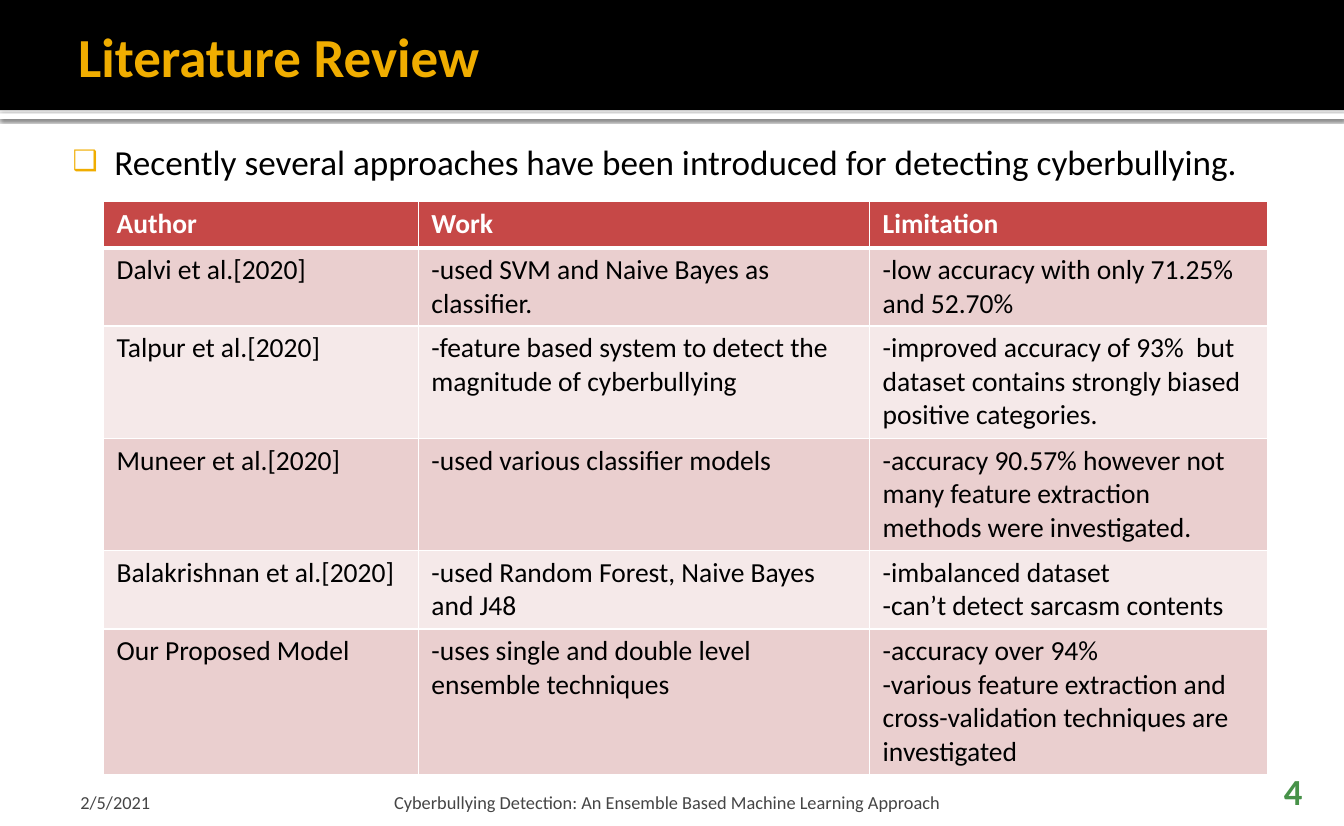
from pptx import Presentation
from pptx.dml.color import RGBColor
from pptx.enum.shapes import MSO_SHAPE as Shape
from pptx.enum.text import MSO_ANCHOR as Anchor, MSO_AUTO_SIZE as AutoSize, PP_ALIGN as Align
from pptx.oxml import parse_xml
from pptx.oxml.ns import nsdecls
from pptx.util import Inches, Pt

BLACK = RGBColor(0x00, 0x00, 0x00)
WHITE = RGBColor(0xFF, 0xFF, 0xFF)
AMBER = RGBColor(0xF0, 0xAD, 0x00)
GREY = RGBColor(0x45, 0x45, 0x45)
GREEN = RGBColor(0x47, 0x92, 0x49)
RED = RGBColor(0xC6, 0x48, 0x47)
ROSE = RGBColor(0xEA, 0xCF, 0xCF)
PALE_ROSE = RGBColor(0xF5, 0xE9, 0xE9)


def write(frame, text, size, color, bold=False, align=Align.LEFT):
    frame.text = text
    frame.word_wrap = True
    for paragraph in frame.paragraphs:
        paragraph.alignment = align
        for run in paragraph.runs:
            run.font.name = "Calibri"
            run.font.size = Pt(size)
            run.font.bold = bold
            run.font.color.rgb = color


def place(box, left, top, width, height, insets, anchor):
    box.left, box.top, box.width, box.height = map(Inches, (left, top, width, height))
    frame = box.text_frame
    frame.auto_size = AutoSize.NONE
    frame.vertical_anchor = anchor
    frame.margin_left, frame.margin_top, frame.margin_right, frame.margin_bottom = map(Inches, insets)


prs = Presentation()
prs.slide_width, prs.slide_height = Inches(12.21), Inches(7.5)
slide = prs.slides.add_slide(prs.slide_layouts[1])

# Header band and the white rule below it, both behind the title
for top, height, color in [(0, 1, BLACK), (1.03, 0.05, WHITE)]:
    band = slide.shapes.add_shape(Shape.RECTANGLE, 0, Inches(top), prs.slide_width, Inches(height))
    band.shadow.inherit = False
    band.fill.solid()
    band.fill.fore_color.rgb = color
    band.line.fill.background()
    slide.shapes._spTree.insert(2, band._element)

# Soft shadow under the white rule
band._element.spPr.find("{*}effectLst").append(parse_xml(
    f'<a:outerShdw {nsdecls("a")} blurRad="{Pt(2.5)}" dist="{Pt(0.8)}" dir="5400000" algn="t" rotWithShape="0">'
    '<a:srgbClr val="000000"><a:alpha val="60000"/></a:srgbClr></a:outerShdw>'))

# Title
title = slide.shapes.title
place(title, 0.61, 0.13, 10.99, 0.75, (0.1, 0.05, 0.05, 0.05), Anchor.MIDDLE)
write(title.text_frame, "Literature Review", 36, AMBER, bold=True)

# Introductory bullet
intro = slide.placeholders[1]
place(intro, 0.56, 1.17, 11.52, 5.83, (0.1, 0.1, 0.1, 0.05), Anchor.TOP)
write(intro.text_frame, "Recently several approaches have been introduced for detecting cyberbullying.", 23, BLACK)
intro_line = intro.text_frame.paragraphs[0]
intro_line.space_before = Pt(0)
bullet = intro_line._p.get_or_add_pPr()
bullet.set("marL", str(Inches(0.38)))
bullet.set("indent", str(-Inches(0.38)))
for tag in (f'buClr {nsdecls("a")}><a:srgbClr val="{AMBER}"/></a:buClr',
            f'buSzPct {nsdecls("a")} val="80000"/',
            f'buFont {nsdecls("a")} typeface="Calibri"/',
            f'buChar {nsdecls("a")} char="❑"/'):
    bullet.append(parse_xml(f"<a:{tag}>"))

# Comparison table
studies = [
    ("Author", "Work", "Limitation"),
    ("Dalvi et al.[2020]", "-used SVM and Naive Bayes as classifier.",
     "-low accuracy with only 71.25%\nand 52.70%"),
    ("Talpur et al.[2020]", "-feature based system to detect the magnitude of cyberbullying",
     "-improved accuracy of 93%  but\ndataset contains strongly biased positive categories."),
    ("Muneer et al.[2020]", "-used various classifier models",
     "-accuracy 90.57% however not many feature extraction methods were investigated."),
    ("Balakrishnan et al.[2020]", "-used Random Forest, Naive Bayes and J48",
     "-imbalanced dataset\n-can’t detect sarcasm contents"),
    ("Our Proposed Model", "-uses single and double level ensemble techniques",
     "-accuracy over 94%\n-various feature extraction and cross-validation techniques are investigated"),
]
column_widths = [2.86, 4.1, 3.62]
row_heights = [0.42, 0.7, 1.02, 1.02, 0.7, 1.32]
review = slide.shapes.add_table(len(studies), len(column_widths), Inches(0.94), Inches(1.83),
                                Inches(sum(column_widths)), Inches(sum(row_heights))).table
for column, width in zip(review.columns, column_widths):
    column.width = Inches(width)
for row, height in zip(review.rows, row_heights):
    row.height = Inches(height)

for r, study in enumerate(studies):
    is_header = r == 0
    for c, text in enumerate(study):
        cell = review.cell(r, c)
        write(cell.text_frame, text, 18, WHITE if is_header else BLACK, bold=is_header)
        cell.margin_left = cell.margin_right = Inches(0.12)
        cell.margin_top = cell.margin_bottom = Inches(0.05)
        # The line between header and body is thicker
        for side in "LRTB":
            weight = 3 if (r, side) in [(0, "B"), (1, "T")] else 1
            cell._tc.get_or_add_tcPr().append(parse_xml(
                f'<a:ln{side} {nsdecls("a")} w="{Pt(weight)}"><a:solidFill>'
                f'<a:srgbClr val="{WHITE}"/></a:solidFill></a:ln{side}>'))
        cell.fill.solid()
        cell.fill.fore_color.rgb = RED if is_header else (PALE_ROSE, ROSE)[r % 2]

# Date, slide number and footer
footer_parts = [
    ("2/5/2021", 0.61, 2.85, (0.12, 0.05, 0.05, 0), 12, GREY, False, Align.LEFT),
    ("4", 10.95, 0.98, (0.1, 0.05, 0.1, 0), 24, GREEN, True, Align.RIGHT),
    ("Cyberbullying Detection: An Ensemble Based Machine Learning Approach",
     3.53, 7.35, (0.05, 0.05, 0.05, 0), 12, GREY, False, Align.LEFT),
]
for text, left, width, insets, size, color, bold, align in footer_parts:
    footer = slide.shapes.add_textbox(0, 0, 0, 0)
    place(footer, left, 7.08, width, 0.3, insets, Anchor.BOTTOM)
    write(footer.text_frame, text, size, color, bold, align)

prs.save("out.pptx")
